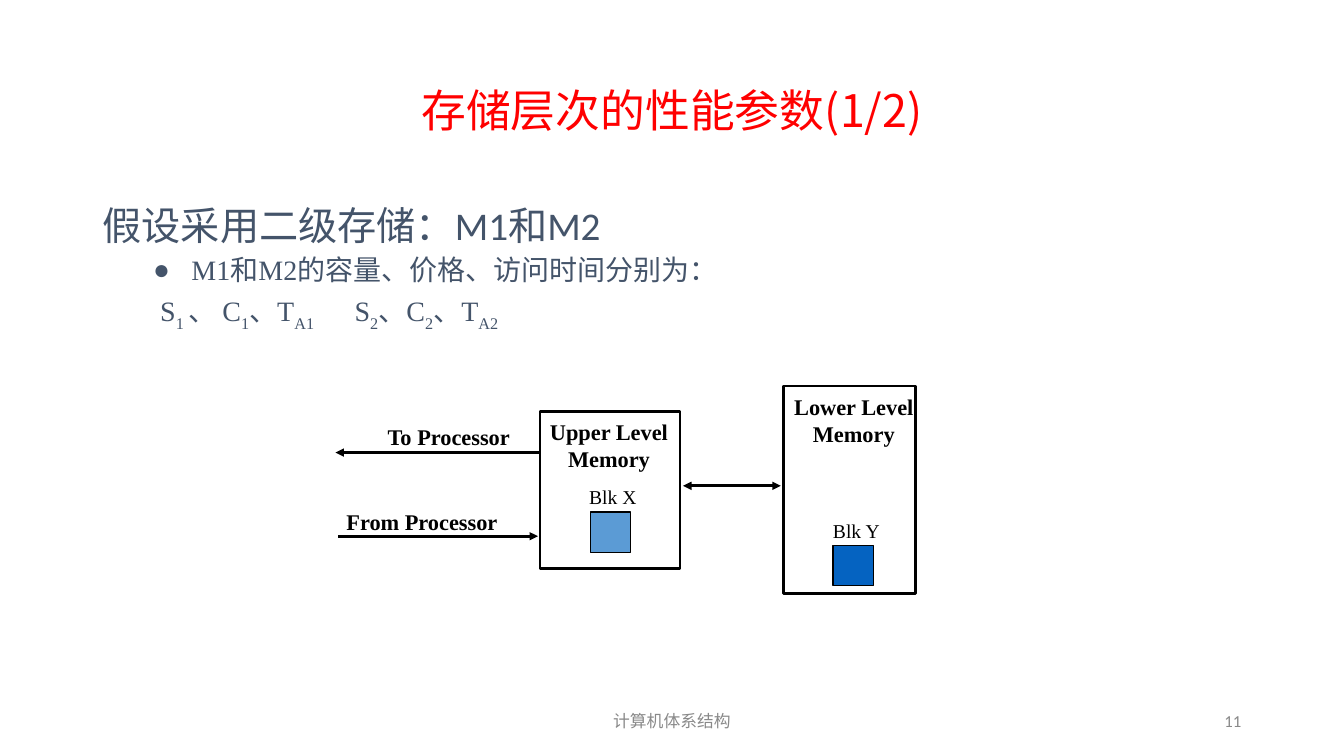
from lxml import etree
from pptx import Presentation
from pptx import util as u
from pptx.dml.color import RGBColor
from pptx.enum import shapes, text
from pptx.oxml.ns import qn

RED = RGBColor(0xFF, 0x00, 0x00)
SLATE = RGBColor(0x44, 0x54, 0x6A)
BLACK = RGBColor(0x00, 0x00, 0x00)
GRAY = RGBColor(0x89, 0x89, 0x89)
LIGHT_BLUE = RGBColor(0x5B, 0x9B, 0xD5)
DARK_BLUE = RGBColor(0x05, 0x63, 0xC1)
SERIF, SANS, CHINESE = "Times New Roman", "Calibri", "Noto Sans CJK SC"
LEFT, CENTER, RIGHT = text.PP_ALIGN.LEFT, text.PP_ALIGN.CENTER, text.PP_ALIGN.RIGHT


def write(paragraph, words, size=16, font=SERIF, color=BLACK, bold=False, align=LEFT, baseline=0):
    paragraph.alignment = align
    run = paragraph.add_run()
    run.text = words
    run.font.size = u.Pt(size)
    run.font.name = font
    run.font.bold = bold
    run.font.color.rgb = color
    properties = run.font._element
    etree.SubElement(properties, qn("a:ea"), typeface=CHINESE)
    if baseline:
        properties.set("baseline", str(baseline))


presentation = Presentation()
presentation.slide_width = u.Inches(13.34)
presentation.slide_height = u.Inches(7.5)
slide = presentation.slides.add_slide(presentation.slide_layouts[1])

title, body = slide.placeholders[0], slide.placeholders[1]
for placeholder, top, height in [(title, 0.4, 1.45), (body, 2, 4.76)]:
    placeholder.left, placeholder.top = u.Inches(0.92), u.Inches(top)
    placeholder.width, placeholder.height = u.Inches(11.5), u.Inches(height)
    placeholder.text_frame.auto_size = text.MSO_AUTO_SIZE.NONE
title.text_frame.vertical_anchor = text.MSO_ANCHOR.MIDDLE
body.text_frame.vertical_anchor = text.MSO_ANCHOR.TOP
heading = title.text_frame.paragraphs[0]
heading.line_spacing = 0.9
write(heading, "存储层次的性能参数(1/2)", size=32, font=CHINESE, color=RED, align=CENTER)

assumption = body.text_frame.paragraphs[0]
parameters = body.text_frame.add_paragraph()
symbols = body.text_frame.add_paragraph()
for paragraph, level, margin, indent, before in [
    (assumption, 0, 0.5, -0.5, 10),
    (parameters, 1, 0.88, -0.38, 5),
    (symbols, 1, 0, 0.57, 5),
]:
    paragraph.level = level
    paragraph.line_spacing = 0.9
    paragraph.space_before = u.Pt(before)
    properties = paragraph._p.get_or_add_pPr()
    properties.set("marL", str(u.Inches(margin)))
    properties.set("indent", str(u.Inches(indent)))
    if paragraph is parameters:
        bullet_color = etree.SubElement(properties, qn("a:buClr"))
        etree.SubElement(bullet_color, qn("a:srgbClr"), val=str(SLATE))
        etree.SubElement(properties, qn("a:buChar"), char="●")
    else:
        etree.SubElement(properties, qn("a:buNone"))
tabs = etree.SubElement(symbols._p.pPr, qn("a:tabLst"))
etree.SubElement(tabs, qn("a:tab"), pos=str(u.Inches(3.71)), algn="l")

write(assumption, "假设采用二级存储：M1和M2", size=28, font=SANS, color=SLATE)
write(parameters, "M1和M2的容量、价格、访问时间分别为：", size=20, color=SLATE)
for symbol, subscript in [
    ("S", "1 "), ("、 C", "1"), ("、T", "A1"),
    ("\tS", "2"), ("、C", "2"), ("、T", "A2"),
]:
    write(symbols, symbol, size=20, color=SLATE)
    write(symbols, subscript, size=20, color=SLATE, baseline=-30000)

for left, top, width, height, fill, weight in [
    (5.36, 4.08, 1.39, 1.56, None, 2),
    (7.78, 3.83, 1.31, 2.06, None, 2),
    (5.86, 5.08, 0.4, 0.4, LIGHT_BLUE, 1),
    (8.27, 5.41, 0.4, 0.4, DARK_BLUE, 1),
]:
    box = slide.shapes.add_shape(
        shapes.MSO_SHAPE.RECTANGLE, u.Inches(left), u.Inches(top), u.Inches(width), u.Inches(height)
    )
    box.shadow.inherit = False
    box.line.color.rgb = BLACK
    box.line.width = u.Pt(weight)
    if fill is None:
        box.fill.background()
    else:
        box.fill.solid()
        box.fill.fore_color.rgb = fill

for start, end, y, ends in [
    (5.36, 3.33, 4.49, ["tailEnd"]),
    (3.36, 5.34, 5.32, ["tailEnd"]),
    (6.78, 7.75, 4.82, ["headEnd", "tailEnd"]),
]:
    arrow = slide.shapes.add_connector(
        shapes.MSO_CONNECTOR.STRAIGHT, u.Inches(start), u.Inches(y), u.Inches(end), u.Inches(y)
    )
    arrow.line.color.rgb = BLACK
    arrow.line.width = u.Pt(2)
    for name in ends:
        etree.SubElement(arrow.line._get_or_add_ln(), qn(f"a:{name}"), type="triangle")
    etree.SubElement(arrow._element.spPr, qn("a:effectLst"))

label = {"bold": True}
level_label = {"bold": True, "align": CENTER}
block_label = {"size": 14}
footer = {"size": 12, "font": SANS, "color": GRAY}
for lines, left, top, width, height, style in [
    (["Lower Level", "Memory"], 7.78, 3.85, 1.39, 0.63, level_label),
    (["Upper Level", "Memory"], 5.36, 4.1, 1.37, 0.63, level_label),
    (["To Processor"], 3.75, 4.15, 1.44, 0.36, label),
    (["From Processor"], 3.34, 4.99, 1.71, 0.36, label),
    (["Blk X"], 5.75, 4.76, 0.67, 0.33, block_label),
    (["Blk Y"], 8.17, 5.1, 0.67, 0.33, block_label),
    (["计算机体系结构"], 4.42, 6.95, 4.5, 0.4, {**footer, "align": CENTER}),
    (["11"], 9.42, 6.95, 3, 0.4, {**footer, "align": RIGHT}),
]:
    frame = slide.shapes.add_textbox(
        u.Inches(left), u.Inches(top), u.Inches(width), u.Inches(height)
    ).text_frame
    is_footer = style.get("color") == GRAY
    frame.word_wrap = is_footer
    frame.vertical_anchor = text.MSO_ANCHOR.MIDDLE if is_footer else text.MSO_ANCHOR.TOP
    for number, line in enumerate(lines):
        paragraph = frame.add_paragraph() if number else frame.paragraphs[0]
        write(paragraph, line, **style)

presentation.save("out.pptx")
